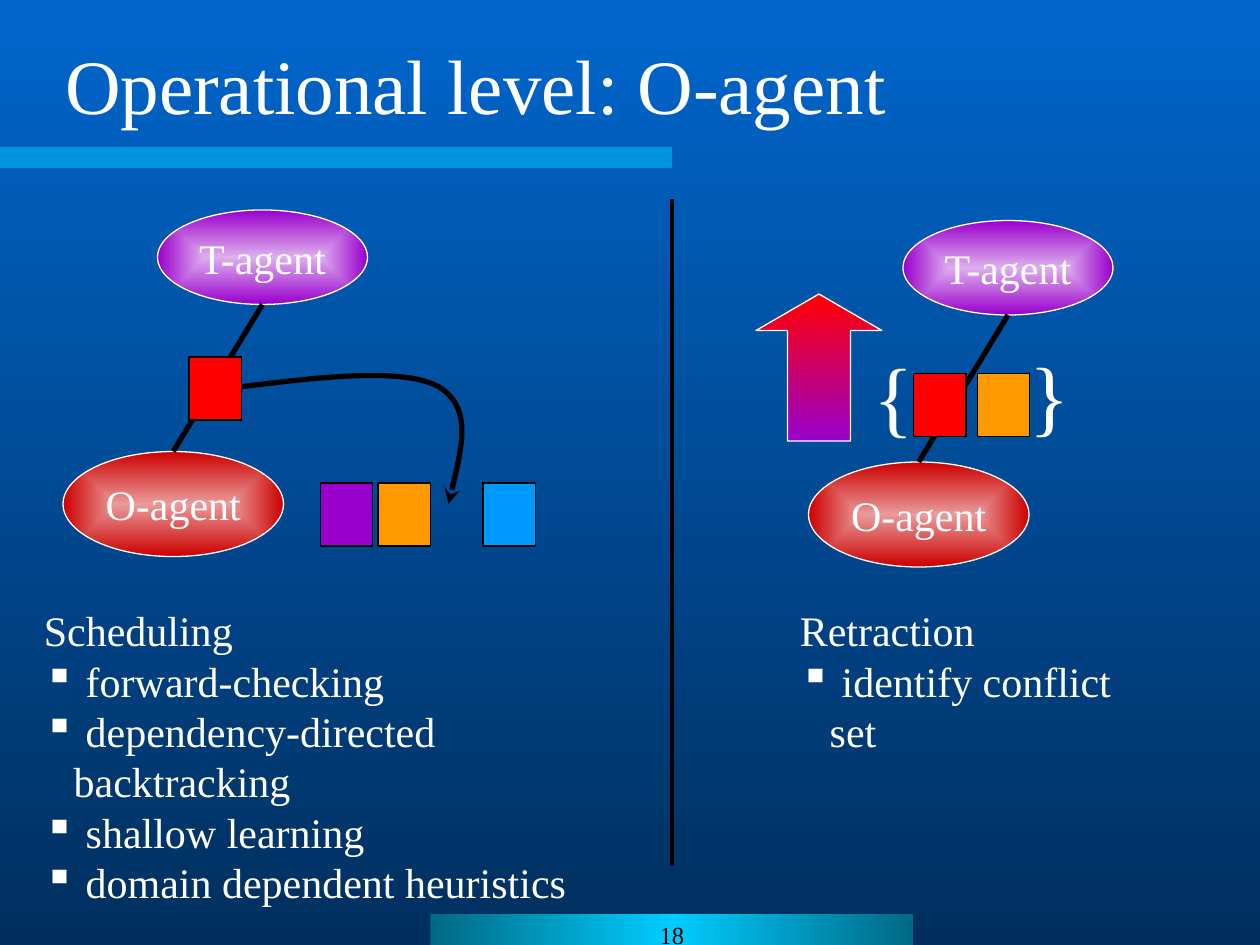
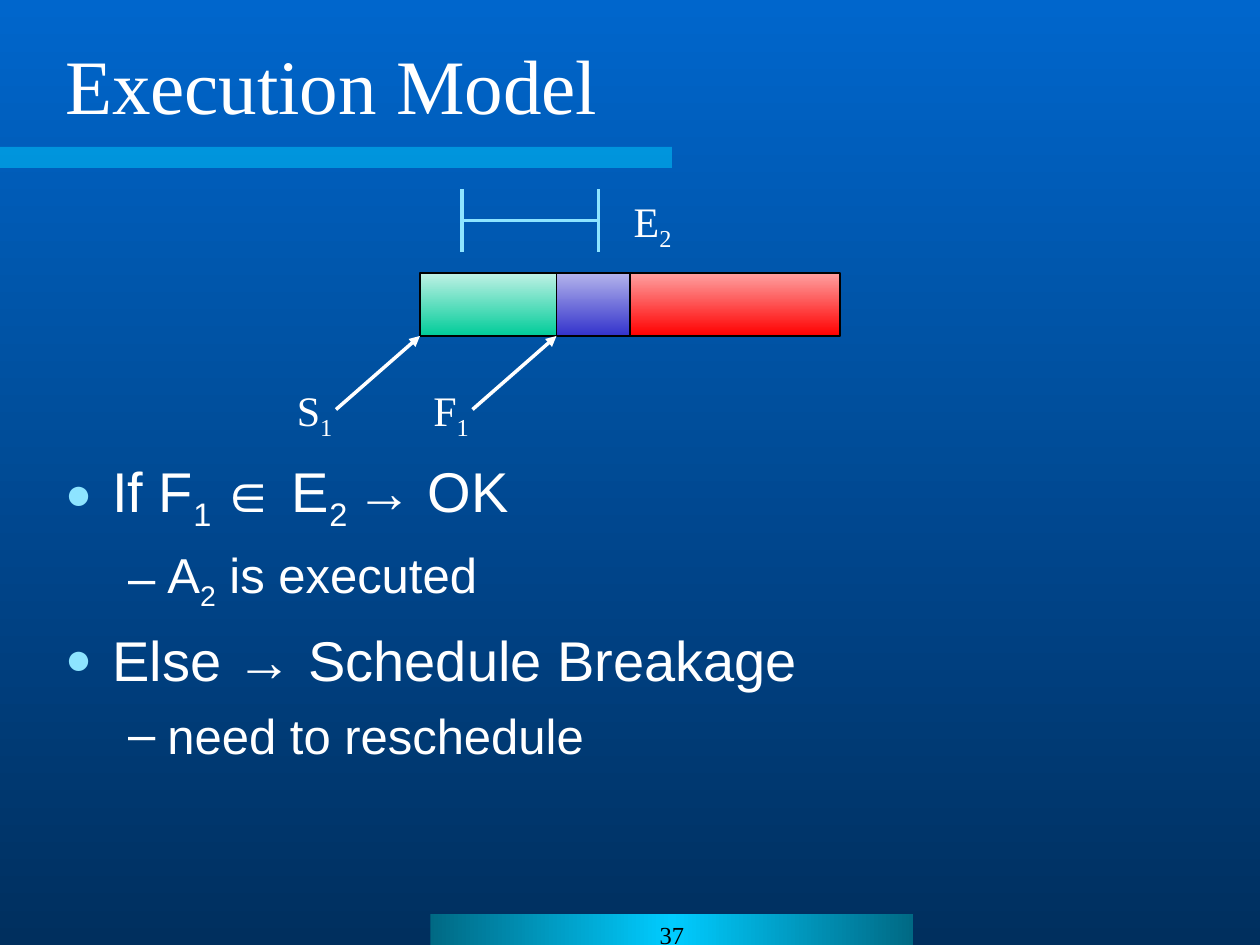
"""Build two slides on an operational agent and an execution model."""
from dataclasses import dataclass
from itertools import accumulate
from typing import Any, Optional, Sequence

from lxml.etree import SubElement
from pptx import Presentation
from pptx.dml.color import RGBColor
from pptx.enum.shapes import MSO_CONNECTOR, MSO_SHAPE
from pptx.enum.text import MSO_ANCHOR, MSO_AUTO_SIZE, PP_ALIGN
from pptx.oxml.ns import qn
from pptx.util import Pt


@dataclass(frozen=True)
class Theme:
    """Colours, faces and type sizes."""
    white: str = "FFFFFF"
    black: str = "000000"
    cyan: str = "00CCFF"
    pale: str = "8DE4FF"
    red: str = "FF0000"
    purple: str = "9900CC"
    orange: str = "FF9900"
    blue: str = "0099FF"
    back: tuple = ("0066CC", "002F5E")
    foot: tuple = ("006984", "00CCFF", "006984")
    task: tuple = ("DEAFEE", "9900CC")
    oper: tuple = ("EA9A9A", "CC0000")
    rise: tuple = ("FF0000", "9900CC")
    green: tuple = ("C0F1E5", "00CC99")
    indigo: tuple = ("B3B3EB", "3333CC")
    rose: tuple = ("FEA1A1", "FF0000")
    serif: str = "Times New Roman"
    sans: str = "Arial"
    title: int = 44
    brace: int = 48
    body: int = 32
    sub: int = 28
    text: int = 24
    page: int = 14


T = Theme()


@dataclass(frozen=True)
class Area:
    """A rectangle in points."""
    x: float
    y: float
    w: float
    h: float

    def emu(self) -> tuple:
        """Return the four lengths for python-pptx."""
        return Pt(self.x), Pt(self.y), Pt(self.w), Pt(self.h)


@dataclass(frozen=True)
class Mark:
    """A bullet style with its indents."""
    char: str
    left: float
    hang: float
    color: str = T.white
    scale: int = 100
    before: float = 0
    level: int = 0


@dataclass(frozen=True)
class Line:
    """A paragraph; parts between bars alternate with subscripts."""
    text: str
    size: int = T.text
    mark: Optional[Mark] = None
    face: str = T.serif
    color: str = T.white


SQUARE = Mark("▪", 17, 17)
DOT = Mark("●", 27, 27, T.pale, 80, 8)
DASH = Mark("–", 58.5, 22.5, before=7, level=1)


def rgb(code: str) -> RGBColor:
    """Read a hex colour."""
    return RGBColor.from_string(code)


def blend(owner: Any, fill: Any, colors: Sequence[str], angle: int = 90,
          inner: bool = False) -> None:
    """Give an owner a linear gradient or one from its centre."""
    fill.gradient()
    grad = next(owner.element.iter(qn("a:gradFill")))
    for child in list(grad):
        grad.remove(child)
    stops = SubElement(grad, qn("a:gsLst"))
    for i, code in enumerate(colors):
        stop = SubElement(stops, qn("a:gs"), pos=str(i * 100000 // (len(colors) - 1)))
        SubElement(stop, qn("a:srgbClr"), val=code)
    if inner:
        path = SubElement(grad, qn("a:path"), path="rect")
        SubElement(path, qn("a:fillToRect"), dict.fromkeys("ltrb", "50000"))
    else:
        SubElement(grad, qn("a:lin"), ang=str(angle * 60000), scaled="0")


def stroke(shape: Any, color: str, width: float, tip: str = "") -> None:
    """Set the line of a shape, with an arrowhead at its end."""
    shape.line.color.rgb = rgb(color)
    shape.line.width = Pt(width)
    if tip:
        SubElement(shape.element.spPr.find(qn("a:ln")), qn("a:tailEnd"), type=tip)


def bullet(para: Any, mark: Mark) -> None:
    """Add a bullet to a paragraph."""
    para.level = mark.level
    props = para._p.get_or_add_pPr()
    props.set("marL", str(Pt(mark.left)))
    props.set("indent", str(-Pt(mark.hang)))
    SubElement(SubElement(props, qn("a:buClr")), qn("a:srgbClr"), val=mark.color)
    SubElement(props, qn("a:buSzPct"), val=str(mark.scale * 1000))
    SubElement(props, qn("a:buChar"), char=mark.char)


def write(frame: Any, lines: Sequence[Line], align: Any = PP_ALIGN.LEFT,
          anchor: Any = MSO_ANCHOR.TOP, wrap: bool = True) -> None:
    """Fill a text frame and format its runs."""
    frame.word_wrap = wrap
    frame.auto_size = MSO_AUTO_SIZE.NONE
    frame.vertical_anchor = anchor
    frame.text = "\n".join(line.text.split("|")[0] for line in lines)
    for i, (para, line) in enumerate(zip(frame.paragraphs, lines)):
        if line.mark:
            bullet(para, line.mark)
        para.alignment = align
        para.space_before = Pt(line.mark.before if i and line.mark else 0)
        for part in line.text.split("|")[1:]:
            para.add_run().text = part
        for j, run in enumerate(para.runs):
            run.font.name = line.face
            run.font.size = Pt(line.size)
            run.font.color.rgb = rgb(line.color)
            if j % 2:
                run._r.get_or_add_rPr().set("baseline", "-25000")


def draw(slide: Any, kind: Any, area: Area, fill: Any, edge: str = "",
         inner: bool = False) -> Any:
    """Add a preset shape with a plain or gradient fill."""
    shape = slide.shapes.add_shape(kind, *area.emu())
    shape.shadow.inherit = False
    if isinstance(fill, str):
        shape.fill.solid()
        shape.fill.fore_color.rgb = rgb(fill)
    else:
        blend(shape, shape.fill, fill, inner=inner)
    if edge:
        stroke(shape, edge, 0.75)
    else:
        shape.line.fill.background()
    return shape


def label(slide: Any, area: Area, *lines: Line, wrap: bool = False) -> None:
    """Add a text box."""
    write(slide.shapes.add_textbox(*area.emu()).text_frame, lines, wrap=wrap)


def link(slide: Any, start: tuple, end: tuple, color: str, width: float,
         tip: str = "") -> None:
    """Add a straight line between two points."""
    line = slide.shapes.add_connector(
        MSO_CONNECTOR.STRAIGHT, *(Pt(n) for n in start + end))
    stroke(line, color, width, tip)
    SubElement(line.element.spPr, qn("a:effectLst"))


def curve(slide: Any, points: Sequence[tuple]) -> None:
    """Add a curved arrow from a start and cubic control points."""
    first, *rest = [(Pt(x), Pt(y)) for x, y in points]
    form = slide.shapes.build_freeform(*first)
    form.add_line_segments(rest, close=False)
    shape = form.convert_to_shape()
    shape.shadow.inherit = False
    shape.fill.background()
    stroke(shape, T.black, 3, "stealth")
    path = next(shape.element.iter(qn("a:path")))
    steps = path.findall(qn("a:lnTo"))
    for i in range(0, len(steps), 3):
        bend = SubElement(path, qn("a:cubicBezTo"))
        for step in steps[i:i + 3]:
            bend.append(step[0])
            path.remove(step)


def start(deck: Any, layout: int, title: str, page: str) -> Any:
    """Add a slide with its band, page number and title."""
    slide = deck.slides.add_slide(deck.slide_layouts[layout])
    band = draw(slide, MSO_SHAPE.RECTANGLE, Area(0, 84, 384, 12), T.cyan)
    SubElement(next(band.element.spPr.iter(qn("a:srgbClr"))), qn("a:alpha"), val="50000")
    foot = draw(slide, MSO_SHAPE.RECTANGLE, Area(246, 522, 276, 18), T.black)
    blend(foot, foot.fill, T.foot, 0)
    write(foot.text_frame, [Line(page, T.page, color=T.black)], PP_ALIGN.CENTER)
    head = slide.shapes.title
    place(head, Area(30, 18, 666, 60))
    write(head.text_frame, [Line(title, T.title)], anchor=MSO_ANCHOR.MIDDLE)
    return slide


def place(shape: Any, area: Area) -> None:
    """Move and size a shape."""
    shape.left, shape.top, shape.width, shape.height = area.emu()


def pair(slide: Any, x: float, y: float) -> None:
    """Draw the two linked agents."""
    for name, area, fill in (("T-agent", Area(x + 54, y, 120, 54), T.task),
                             ("O-agent", Area(x, y + 138, 126, 60), T.oper)):
        oval = draw(slide, MSO_SHAPE.OVAL, area, fill, T.white, inner=True)
        write(oval.text_frame, [Line(name)], PP_ALIGN.CENTER, MSO_ANCHOR.MIDDLE, False)
    link(slide, (x + 63, y + 138), (x + 114, y + 54), T.black, 3)


def tile(slide: Any, x: float, y: float, color: str) -> None:
    """Draw one task square."""
    draw(slide, MSO_SHAPE.RECTANGLE, Area(x, y, 30, 36), color, T.black)


def agent(deck: Any) -> None:
    """Build the O-agent slide."""
    slide = start(deck, 5, "Operational level: O-agent", "18")
    pair(slide, 36, 120)
    for x, y, color in ((183, 276, T.purple), (216, 276, T.orange),
                        (276, 276, T.blue), (108, 204, T.red)):
        tile(slide, x, y, color)
    curve(slide, [(138, 221), (184.3, 215.3), (230.4, 210), (250.6, 221),
                  (270, 232.6), (263, 260), (256.3, 288)])
    names = ("forward-checking", "dependency-directed backtracking",
             "shallow learning", "domain dependent heuristics")
    label(slide, Area(18, 342, 361.5, 151), Line("Scheduling"),
          *(Line(f" {name}", mark=SQUARE) for name in names), wrap=True)
    pair(slide, 462, 126)
    arrow = draw(slide, MSO_SHAPE.UP_ARROW, Area(432, 168, 72, 84), T.rise, T.white)
    arrow.adjustments[1] = 0.29
    tile(slide, 558.5, 213.5, T.orange)
    tile(slide, 522, 213.5, T.red)
    label(slide, Area(492, 193, 37.5, 65), Line("{", T.brace))
    label(slide, Area(581, 192, 37.5, 65), Line("}", T.brace))
    label(slide, Area(450, 342, 218, 65), Line("Retraction"),
          Line(" identify conflict set", mark=SQUARE), wrap=True)
    link(slide, (384, 114), (384, 495), T.black, 2.25)


def model(deck: Any) -> None:
    """Build the execution model slide."""
    slide = start(deck, 1, "Execution Model", "37")
    wide = (78, 42, 120)
    lefts = accumulate(wide[:-1], initial=240)
    for x, w, fill in zip(lefts, wide, (T.green, T.indigo, T.rose)):
        draw(slide, MSO_SHAPE.RECTANGLE, Area(x, 156, w, 36), fill, T.black)
    link(slide, (264, 126), (342, 126), T.pale, 2)
    for x in (264, 342):
        link(slide, (x, 108), (x, 144), T.pale, 2)
    label(slide, Area(355, 108, 36, 40), Line("E|2"))
    for x, name in ((240, "S|1"), (318, "F|1")):
        label(slide, Area(x - 77.5, 216, 34.5, 40), Line(name))
        link(slide, (x - 48, 234), (x, 192), T.white, 2, "triangle")
    body = slide.placeholders[1]
    place(body, Area(30, 257, 666, 193))
    items = (("If F|1 |∈ E|2 |→ OK", T.body, DOT), ("A|2| is executed", T.sub, DASH),
             ("Else → Schedule Breakage", T.body, DOT),
             ("need to reschedule", T.sub, DASH))
    write(body.text_frame, [Line(*item, face=T.sans) for item in items])


def main() -> None:
    """Build and save the deck."""
    deck = Presentation()
    deck.slide_width, deck.slide_height = Pt(720), Pt(540)
    blend(deck.slide_master, deck.slide_master.background.fill, T.back)
    agent(deck)
    model(deck)
    deck.save("out.pptx")


if __name__ == "__main__":
    main()
